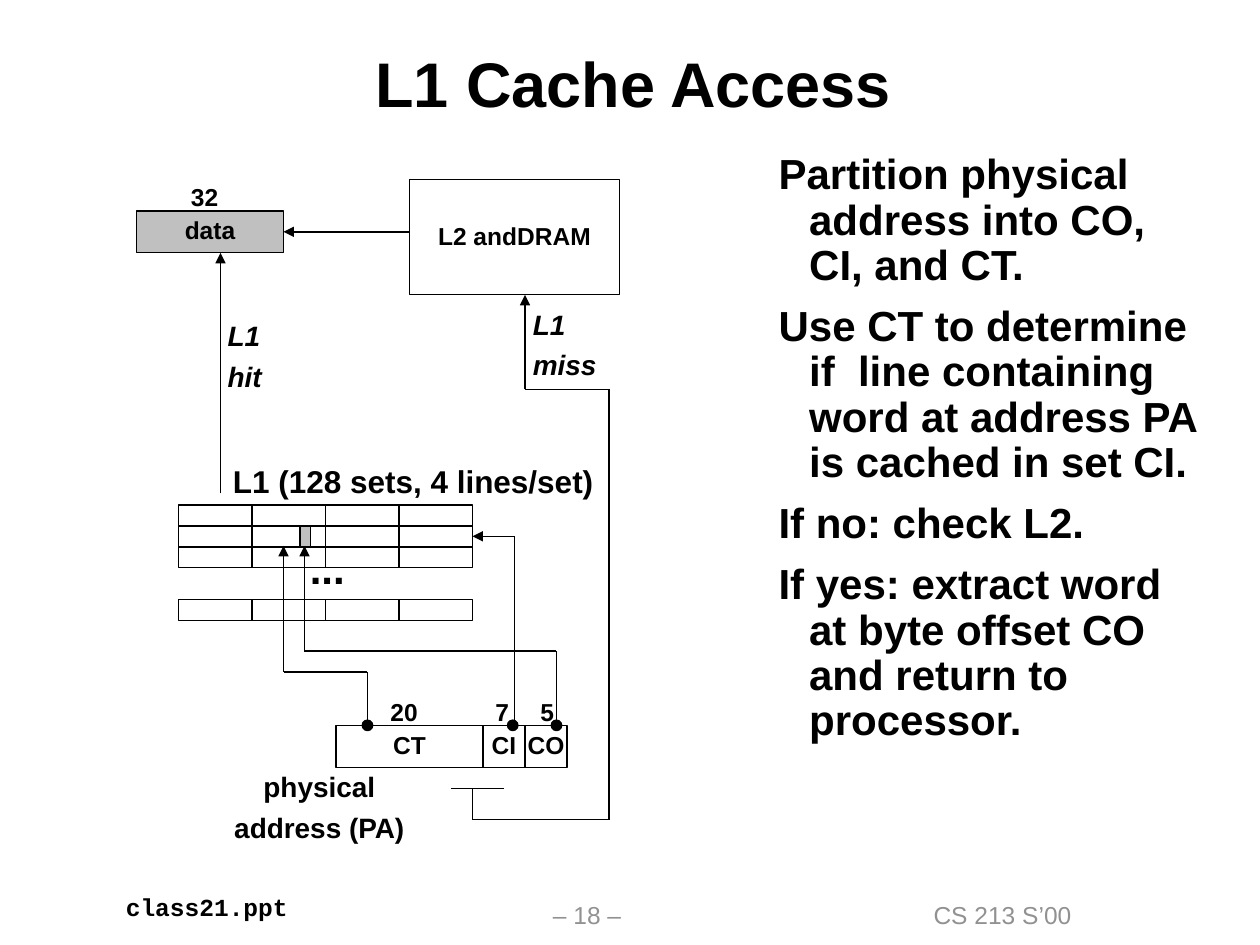
from itertools import pairwise

from lxml import etree
from pptx import Presentation
from pptx.dml.color import RGBColor
from pptx.enum.shapes import MSO_CONNECTOR, MSO_SHAPE
from pptx.enum.text import MSO_ANCHOR, MSO_AUTO_SIZE, PP_ALIGN
from pptx.oxml.ns import qn
from pptx.util import Pt

RECTANGLE, OVAL = MSO_SHAPE.RECTANGLE, MSO_SHAPE.OVAL
STRAIGHT = MSO_CONNECTOR.STRAIGHT
LEFT, CENTER = PP_ALIGN.LEFT, PP_ALIGN.CENTER
TOP, MIDDLE = MSO_ANCHOR.TOP, MSO_ANCHOR.MIDDLE
FIT_SHAPE, NO_FIT = MSO_AUTO_SIZE.SHAPE_TO_FIT_TEXT, MSO_AUTO_SIZE.NONE

BLACK, WHITE, SILVER, GRAY = "000000", "FFFFFF", "C0C0C0", "919191"
RIGHT_SIDE = 3
CELL_WIDTH, CELL_HEIGHT = 42, 12
FIELD_TOP, FIELD_HEIGHT = 414.5, 24


def rgb(color):
    return RGBColor.from_string(color)


def write_text(shape, lines, size, align=LEFT, anchor=TOP, wrap=False, margins=(7.2, 3.6),
               font="Arial", color=BLACK, bold=True, italic=False,
               spacing=0.9, before=0, hanging=0):
    frame = shape.text_frame
    frame.text = "\n".join(lines)
    frame.word_wrap = wrap
    frame.vertical_anchor = anchor
    frame.margin_left = frame.margin_right = Pt(margins[0])
    frame.margin_top = frame.margin_bottom = Pt(margins[1])
    for paragraph in frame.paragraphs:
        paragraph.alignment = align
        paragraph.line_spacing = spacing
        paragraph.space_before = Pt(before)
        if hanging:
            properties = paragraph._p.get_or_add_pPr()
            properties.set("marL", str(Pt(hanging)))
            properties.set("indent", str(-Pt(hanging)))
        for run in paragraph.runs:
            run.font.name, run.font.size = font, Pt(size)
            run.font.bold, run.font.italic = bold, italic
            run.font.color.rgb = rgb(color)


def add_text(slide, box, lines, size, fit=True, **style):
    shape = slide.shapes.add_textbox(*map(Pt, box))
    write_text(shape, lines, size, **style)
    shape.text_frame.auto_size = FIT_SHAPE if fit else NO_FIT
    return shape


def add_box(slide, box, fill=None, label=None, kind=RECTANGLE):
    shape = slide.shapes.add_shape(kind, *map(Pt, box))
    shape.shadow.inherit = False
    if fill:
        shape.fill.solid()
        shape.fill.fore_color.rgb = rgb(fill)
    else:
        shape.fill.background()
    shape.line.color.rgb = rgb(BLACK)
    shape.line.width = Pt(0.75)
    if label:
        write_text(shape, [label], 14, align=CENTER, anchor=MIDDLE, before=5.2)
    return shape


def add_path(slide, points, arrow=True):
    """Join the points with straight lines and return the last one."""
    for start, end in pairwise(points):
        line = slide.shapes.add_connector(STRAIGHT, *map(Pt, start + end))
        line.line.color.rgb = rgb(BLACK)
        line.line.width = Pt(0.75)
        etree.SubElement(line._element.spPr, qn("a:effectLst"))
    if arrow:
        outline = line.line._get_or_add_ln()
        etree.SubElement(outline, qn("a:tailEnd"), type="triangle")
    return line


def add_cache(slide):
    """Draw the cache sets and return the right-hand cell of the chosen set."""
    rows = []
    for row, top in enumerate((288.5, 300.5, 312.5, 342.5)):
        rows.append([
            add_box(slide, (102 + column * CELL_WIDTH, top, CELL_WIDTH, CELL_HEIGHT),
                    WHITE if (row, column) == (1, 1) else None)
            for column in range(4)])
    add_text(slide, (170, 309.6, 36, 33), ["..."], 24, before=9)
    add_text(slide, (126, 262.8, 226, 26.6), ["L1 (128 sets, 4 lines/set)"], 18, before=6.8)
    return rows[1][-1]


def add_address(slide):
    fields = (("CT", "20", 192, 84, 216, 210),
              ("CI", "7", 276, 24, 276, 293),
              ("CO", "5", 300, 24, 301.7, 318))
    for name, bits, left, width, bits_left, dot in fields:
        add_box(slide, (left, FIELD_TOP, width, FIELD_HEIGHT), WHITE, name)
        add_text(slide, (bits_left, 396.7, 16 + 8 * len(bits), 22.3), [bits], 14, before=5.2)
        add_box(slide, (dot - 3, FIELD_TOP - 3, 6, 6), BLACK, kind=OVAL)
    add_text(slide, (124.5, 438.5, 116, 47.5), ["physical", "address (PA)"], 16,
             align=CENTER, before=6)


def add_diagram(slide):
    # Data word and lower memory
    data = add_box(slide, (78, 120.5, 84, 24), SILVER, "data")
    add_text(slide, (102, 102.2, 32, 22.3), ["32"], 14, before=5.2)
    add_box(slide, (234, 102.5, 120, 66), WHITE, "L2 andDRAM")
    add_path(slide, [(234, 132.5), (162, 132.5)]).end_connect(data, RIGHT_SIDE)

    # Cache and address
    chosen_cell = add_cache(slide)
    add_address(slide)

    # Address fields to cache
    add_path(slide, [(210, FIELD_TOP), (210, 384), (162, 384), (162, 312)])
    add_path(slide, [(318, FIELD_TOP), (318, 372), (174, 372), (174, 312)])
    set_arrow = add_path(slide, [(294, FIELD_TOP), (294, 306.5), (270, 306.5)])
    set_arrow.end_connect(chosen_cell, RIGHT_SIDE)
    add_box(slide, (171.4, 300.5, 6, CELL_HEIGHT), SILVER)

    # Hit and miss
    add_path(slide, [(126, 282), (126, 144.5)])
    add_path(slide, [(258, 450.5), (288, 450.5)], arrow=False)
    add_path(slide, [(270, 450.5), (270, 468.5), (348, 468.5), (348, 222.5),
                     (300, 222.5), (300, 168.5)])
    add_text(slide, (123, 180.7, 38, 47.5), ["L1", "hit"], 16, italic=True, before=6)
    add_text(slide, (297.4, 174.2, 56, 47.5), ["L1", "miss"], 16, italic=True, before=6)


def add_footer(slide):
    for left, width, label in ((528.5, 94, "CS 213 S’00"), (311, 97.2, "– 18 –")):
        shape = add_text(slide, (left, 514, width, 19.4), [label], 14,
                         margins=(5, 2.2), color=GRAY, bold=False)
        shape.fill.solid()
        shape.fill.fore_color.rgb = rgb(WHITE)
    add_text(slide, (64.8, 506.2, 110, 23.8), ["class21.ppt"], 14,
             font="Courier New", spacing=1.0)


def main():
    presentation = Presentation()
    presentation.slide_width, presentation.slide_height = Pt(720), Pt(540)
    slide = presentation.slides.add_slide(presentation.slide_layouts[6])

    # Footer, title and explanation
    add_footer(slide)
    add_text(slide, (208.8, 26.6, 306, 86.4), ["L1 Cache Access"], 36, fit=False,
             align=CENTER, wrap=True, margins=(5, 2.2), spacing=0.95)
    add_text(slide, (437.8, 84.2, 257.8, 414.7), [
        "Partition physical address into CO, CI, and CT.",
        "Use CT to determine if  line containing word at address PA is cached in set CI.",
        "If no: check L2.",
        "If yes: extract word at byte offset CO and return to processor.",
    ], 24, fit=False, wrap=True, before=9, hanging=17.5)
    add_diagram(slide)

    presentation.save("out.pptx")


if __name__ == "__main__":
    main()
